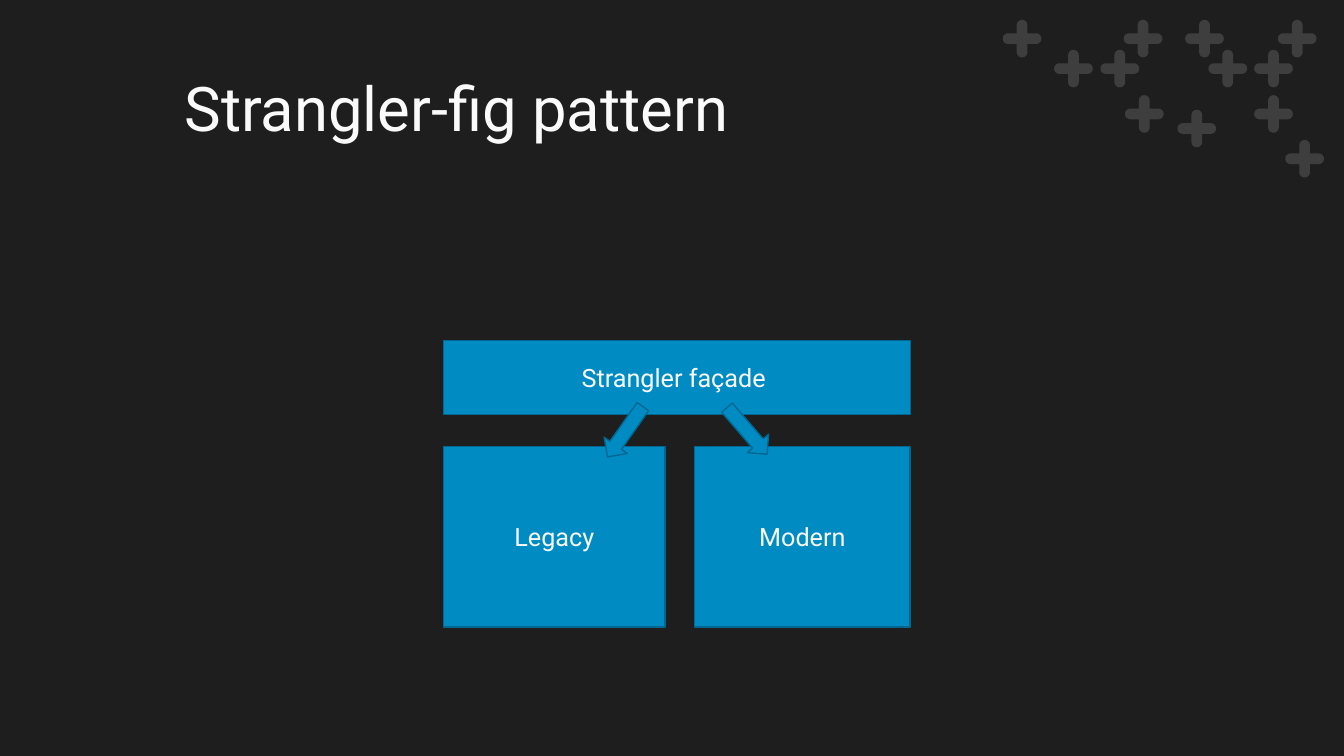
"""Build the Strangler-fig pattern slide."""
from dataclasses import dataclass
from math import cos, pi, sin

from lxml.etree import SubElement
from pptx import Presentation
from pptx.dml.color import RGBColor
from pptx.enum.shapes import MSO_SHAPE as Preset
from pptx.enum.text import MSO_ANCHOR as Anchor, MSO_AUTO_SIZE as AutoSize, PP_ALIGN as Align
from pptx.oxml.ns import qn
from pptx.util import Pt

TITLE = "Strangler-fig pattern"
TITLE_FRAME = (131.8, 27.4, 828, 104.4)
LEFT, RIGHT = 316.8, 650.2
FACADE_TOP, FACADE_HEIGHT = 243.4, 52.6
SYSTEMS_TOP, SYSTEMS_HEIGHT = 319, 128.9
LEGACY_WIDTH, MODERN_WIDTH = 158.4, 154.1
BOXES = [
    ("Strangler façade ", (LEFT, FACADE_TOP, RIGHT - LEFT, FACADE_HEIGHT)),
    ("Legacy", (LEFT, SYSTEMS_TOP, LEGACY_WIDTH, SYSTEMS_HEIGHT)),
    ("Modern", (RIGHT - MODERN_WIDTH, SYSTEMS_TOP, MODERN_WIDTH, SYSTEMS_HEIGHT)),
]
ARROW_SIZE = (20.2, 43.9)
ARROWS = [((446.6, 308.4), 35.1), ((533.6, 307.8), 319.2)]
PLUS_ROWS = {
    27.6: (730.1, 816.5, 860.4, 926.6),
    49: (766.8, 799.9, 877, 909.7),
    81.4: (817.4, 909.7),
    91.8: (854.9,),
    113.4: (931.9,),
}
PLUS_REACH = (13.8, 13.4)
PLUS_ARM_RADIUS = 3.8
ARC_STEPS = 12


@dataclass(frozen=True)
class Theme:
    font: str = "Roboto"
    background: str = "1E1E1E"
    text: str = "FAFAFA"
    fill: str = "008BC3"
    outline: str = "006790"
    plus_opacity: int = 15000
    outline_width: float = 1
    title_size: float = 44
    label_size: float = 18


THEME = Theme()


def color(value):
    return RGBColor.from_string(value)


def write_text(shape, text, *, size, align, spacing=1.0, left_inset=7.2):
    frame = shape.text_frame
    frame.text = text
    frame.word_wrap = True
    frame.auto_size = AutoSize.NONE
    frame.vertical_anchor = Anchor.MIDDLE
    frame.margin_left, frame.margin_right = Pt(left_inset), Pt(7.2)
    frame.margin_top = frame.margin_bottom = Pt(3.6)
    paragraph = frame.paragraphs[0]
    paragraph.alignment = align
    paragraph.line_spacing = spacing
    font = paragraph.runs[0].font
    font.name, font.size = THEME.font, Pt(size)
    font.color.rgb = color(THEME.text)


def add_block(slide, preset, frame):
    shape = slide.shapes.add_shape(preset, *map(Pt, frame))
    shape.shadow.inherit = False
    shape.fill.solid()
    shape.fill.fore_color.rgb = color(THEME.fill)
    shape.line.color.rgb = color(THEME.outline)
    shape.line.width = Pt(THEME.outline_width)
    return shape


def plus_outline(center_x, center_y):
    radius = PLUS_ARM_RADIUS
    points = []
    for quarter in range(4):
        direction = quarter * pi / 2
        reach = PLUS_REACH[quarter % 2] - radius
        for step in range(ARC_STEPS + 1):
            angle = direction - pi / 2 + step * pi / ARC_STEPS
            points.append((reach * cos(direction) + radius * cos(angle),
                           reach * sin(direction) + radius * sin(angle)))
        corner = direction + pi / 4
        points.append((radius * 2 ** 0.5 * cos(corner), radius * 2 ** 0.5 * sin(corner)))
    return [(Pt(center_x + x), Pt(center_y + y)) for x, y in points]


def add_plus(slide, center_x, center_y):
    start, *rest = plus_outline(center_x, center_y)
    builder = slide.shapes.build_freeform(*start)
    builder.add_line_segments(rest, close=True)
    shape = builder.convert_to_shape()
    shape.shadow.inherit = False
    shape.line.fill.background()
    shape.fill.solid()
    shape.fill.fore_color.rgb = color(THEME.text)
    tint = shape.fill._xPr.find(qn("a:solidFill"))[0]
    SubElement(tint, qn("a:alpha"), val=str(THEME.plus_opacity))


def main():
    presentation = Presentation()
    presentation.slide_width, presentation.slide_height = Pt(960), Pt(540)
    slide = presentation.slides.add_slide(presentation.slide_layouts[5])
    slide.background.fill.solid()
    slide.background.fill.fore_color.rgb = color(THEME.background)

    for center_y, centers in PLUS_ROWS.items():
        for center_x in centers:
            add_plus(slide, center_x, center_y)

    title = slide.shapes.title
    title.left, title.top, title.width, title.height = map(Pt, TITLE_FRAME)
    write_text(title, TITLE, size=THEME.title_size, align=Align.LEFT,
               spacing=0.9, left_inset=0)

    for label, frame in BOXES:
        box = add_block(slide, Preset.RECTANGLE, frame)
        write_text(box, label, size=THEME.label_size, align=Align.CENTER)

    width, height = ARROW_SIZE
    for (center_x, center_y), angle in ARROWS:
        frame = (center_x - width / 2, center_y - height / 2, width, height)
        add_block(slide, Preset.DOWN_ARROW, frame).rotation = angle

    presentation.save("out.pptx")


if __name__ == "__main__":
    main()
